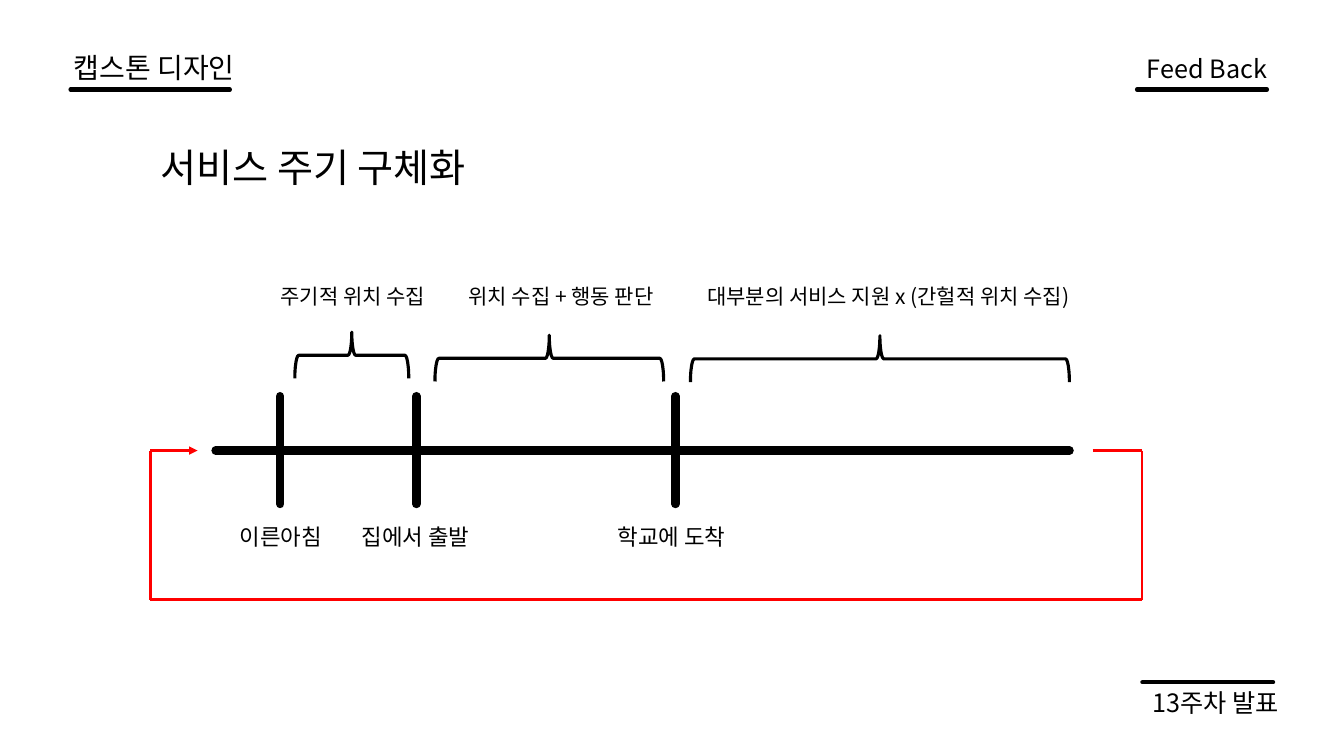
from itertools import pairwise

from lxml import etree
from pptx import Presentation
from pptx.dml.color import RGBColor
from pptx.enum.shapes import MSO_CONNECTOR, MSO_SHAPE
from pptx.enum.text import MSO_ANCHOR, MSO_AUTO_SIZE, PP_ALIGN
from pptx.oxml.ns import qn
from pptx.util import Pt

STRAIGHT = MSO_CONNECTOR.STRAIGHT
BRACE = MSO_SHAPE.RIGHT_BRACE
TOP, MIDDLE = MSO_ANCHOR.TOP, MSO_ANCHOR.MIDDLE
LEFT, CENTER = PP_ALIGN.LEFT, PP_ALIGN.CENTER
GROW = MSO_AUTO_SIZE.SHAPE_TO_FIT_TEXT
NO_FIT = MSO_AUTO_SIZE.NONE

FONT = "Noto Sans CJK KR"
BLACK = RGBColor(0, 0, 0)
RED = RGBColor(255, 0, 0)

TITLE = ("서비스 주기 구체화", 107.3, 98.6, 663, 70.6, 28)
COURSE = ("캡스톤 디자인", 29.5, 34.6, 161.3, 29.5, 20)
LABELS = [
    ("Feed Back", 812.2, 34.6, 114, 28.8, 18),
    ("13주차 발표", 816, 487.4, 124, 28.8, 18),
    ("이른아침", 164.2, 370, 86, 26.6, 16),
    ("집에서 출발", 251.3, 370, 106, 26.6, 16),
    ("학교에 도착", 434.2, 370, 106, 26.6, 16),
    (" 주기적 위치 수집", 190, 198.7, 136, 25.2, 15),
    ("위치 수집 + 행동 판단", 327.6, 198.7, 168, 25.2, 15),
    ("대부분의 서비스 지원 x (간헐적 위치 수집)", 498.2, 198.7, 310, 25.2, 15),
]
RULES = [(50.4, 164.2, 64), (812.2, 905, 64), (816, 909.4, 487.4)]

AXIS_Y = 321.8
AXIS_START, AXIS_END = 154, 764
EVENTS = [200.2, 297.4, 482.4]
EVENT_TOP, EVENT_BOTTOM = 283, 360
BRACE_HEIGHT = 33.1
BRACES = [(210.6, 292, 237.2), (310.7, 474.1, 239.4), (493.2, 763.9, 239.8)]
LOOP = [(780.5, AXIS_Y), (815.8, AXIS_Y), (815.8, 428.4),
        (107.3, 428.4), (107.3, AXIS_Y), (141.1, AXIS_Y)]


def write(box, text, size, align=LEFT, anchor=TOP, fit=GROW):
    frame = box.text_frame
    frame.text = text
    frame.word_wrap = True
    frame.auto_size = fit
    frame.vertical_anchor = anchor
    para = frame.paragraphs[0]
    para.alignment = align
    para.line_spacing = 1.0
    para.font.name = FONT
    para.font.size = Pt(size)
    para.font.color.rgb = BLACK
    defaults = para._p.pPr.find(qn("a:defRPr"))
    etree.SubElement(defaults, qn("a:ea"), typeface=FONT)
    return para


def add_label(page, text, left, top, width, height, size, **style):
    box = page.shapes.add_textbox(Pt(left), Pt(top), Pt(width), Pt(height))
    return write(box, text, size, **style)


def add_line(page, start, end, color, width, cap="rnd"):
    line = page.shapes.add_connector(STRAIGHT, *map(Pt, start + end))
    line.line.color.rgb = color
    line.line.width = Pt(width)
    line.line._get_or_add_ln().set("cap", cap)
    etree.SubElement(line._element.spPr, qn("a:effectLst"))
    return line


def add_brace(page, start, end, top):
    span = end - start
    left = (start + end - BRACE_HEIGHT) / 2
    upright_top = top + (BRACE_HEIGHT - span) / 2
    brace = page.shapes.add_shape(
        BRACE, Pt(left), Pt(upright_top), Pt(BRACE_HEIGHT), Pt(span))
    brace.rotation = 270
    brace.shadow.inherit = False
    brace.fill.background()
    brace.line.color.rgb = BLACK
    brace.line.width = Pt(2.25)


def main():
    deck = Presentation()
    deck.slide_width, deck.slide_height = Pt(960), Pt(540)
    page = deck.slides.add_slide(deck.slide_layouts[5])

    text, left, top, width, height, size = TITLE
    title = page.shapes.title
    title.left, title.top = Pt(left), Pt(top)
    title.width, title.height = Pt(width), Pt(height)
    write(title, text, size, fit=NO_FIT)

    course = add_label(page, *COURSE, align=CENTER, anchor=MIDDLE, fit=NO_FIT)
    course.line_spacing = 0.9
    for label in LABELS:
        add_label(page, *label)
    for start, end, y in RULES:
        add_line(page, (start, y), (end, y), BLACK, 3)

    add_line(page, (AXIS_START, AXIS_Y), (AXIS_END, AXIS_Y), BLACK, 6)
    for x in EVENTS:
        add_line(page, (x, EVENT_TOP), (x, EVENT_BOTTOM), BLACK, 6)
    for brace in BRACES:
        add_brace(page, *brace)

    for start, end in pairwise(LOOP):
        segment = add_line(page, start, end, RED, 2, "flat")
    etree.SubElement(segment.line._get_or_add_ln(), qn("a:tailEnd"), type="triangle")

    deck.save("out.pptx")


if __name__ == "__main__":
    main()
